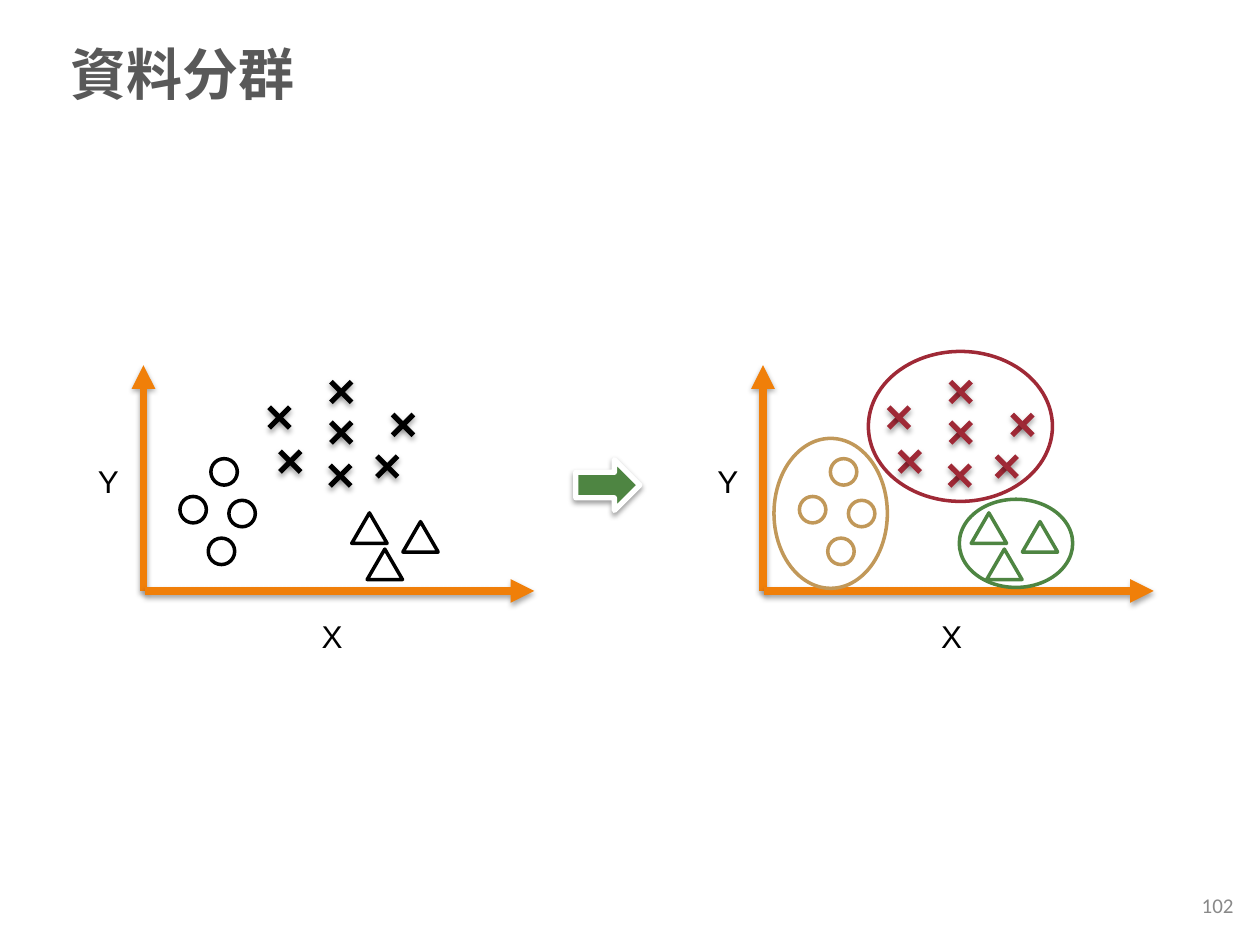
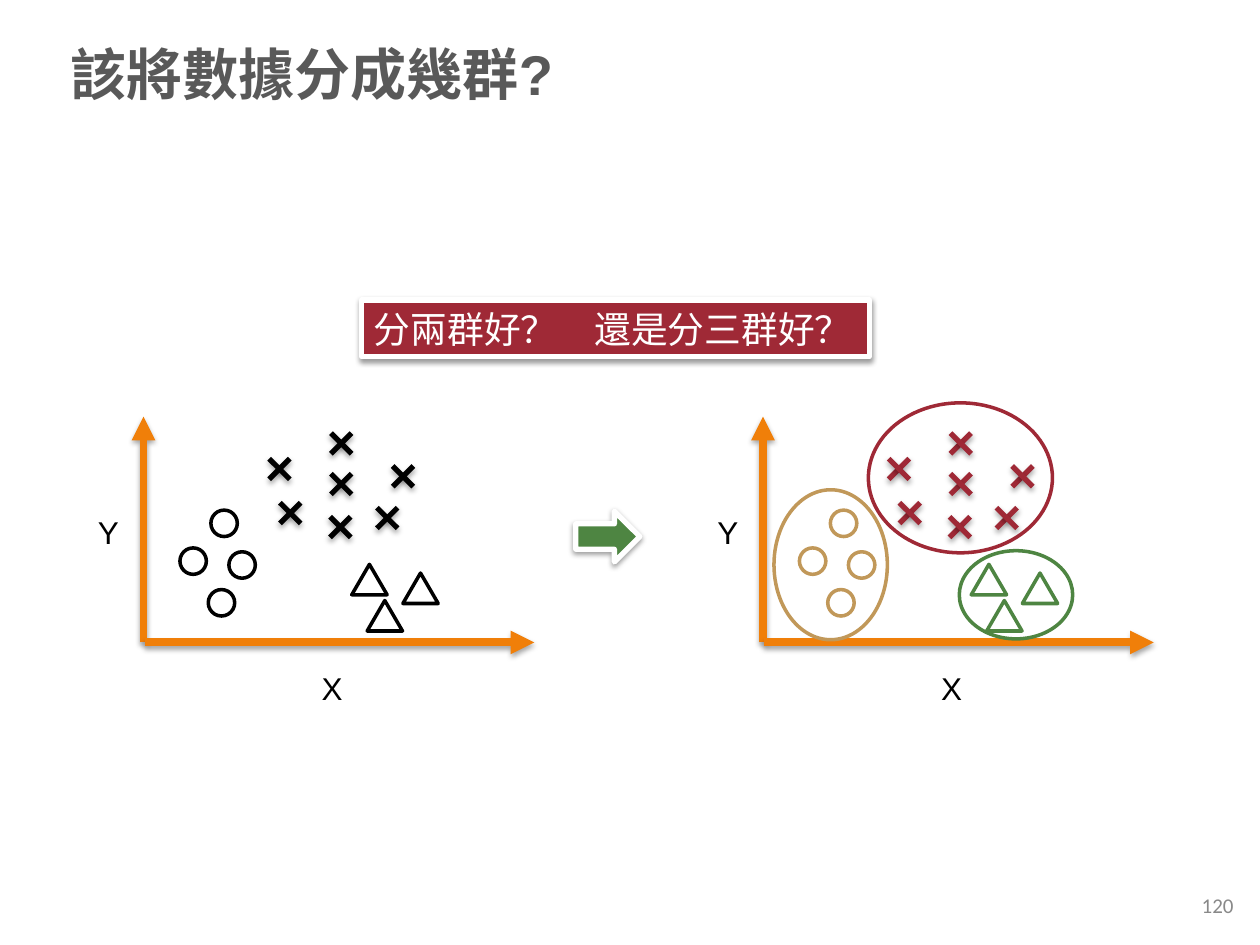
from lxml import etree
from pptx import Presentation
from pptx.dml.color import RGBColor
from pptx.enum import shapes, text
from pptx.oxml.ns import qn
from pptx.util import Pt

BLACK = RGBColor(0x00, 0x00, 0x00)
WHITE = RGBColor(0xFF, 0xFF, 0xFF)
TITLE_GREY = RGBColor(0x59, 0x59, 0x59)
NUMBER_GREY = RGBColor(0x89, 0x89, 0x89)
ORANGE = RGBColor(0xF0, 0x7F, 0x09)
RED = RGBColor(0x9F, 0x29, 0x36)
TAN = RGBColor(0xC1, 0x98, 0x59)
GREEN = RGBColor(0x4E, 0x85, 0x42)

LATIN_FONT = "Arial"
CJK_FONT = "Noto Sans CJK SC"
OVAL = shapes.MSO_SHAPE.OVAL
TRIANGLE = shapes.MSO_SHAPE.ISOSCELES_TRIANGLE

# Horizontal position of each plot's origin, in points
RAW_X, GROUPED_X = 82, 436

# Offsets from the plot origin, in points: left, top
CROSSES = [(133.4, -77), (107.1, -119.6), (71.8, -105), (78, -79.8),
           (106.6, -71.8), (107.1, -96.4), (142.4, -100.8)]
CIRCLES = [(20.8, -54), (48.8, -51.8), (38.5, -75.6), (37, -30.2)]
TRIANGLES = [(119, -44.6), (148.2, -39.6), (127.8, -23.9)]
CROSS_SIZE = 11.8
CIRCLE_SIZE = 15.1
TRIANGLE_SIZE = (20.2, 17.4)

# Outline of each group: left, top, width, height, colour
GROUP_OUTLINES = [(60.2, -136.9, 105.2, 85.7, RED),
                  (6.3, -87.2, 64.8, 85.7, TAN),
                  (112.2, -52.4, 64.8, 50.4, GREEN)]


def add_shadow(shape, opacity, distance):
    """Put a soft shadow below a shape or line whose outline is already set."""
    properties = shape._element.spPr
    effects = properties.find(qn("a:effectLst"))
    if effects is None:
        effects = etree.SubElement(properties, qn("a:effectLst"))
    shadow = etree.SubElement(effects, qn("a:outerShdw"), blurRad=str(Pt(3.1)),
                              dist=str(Pt(distance)), dir="5400000", rotWithShape="0")
    colour = etree.SubElement(shadow, qn("a:srgbClr"), val=str(BLACK))
    etree.SubElement(colour, qn("a:alpha"), val=str(opacity * 1000))


def write(frame, words, size, colour, font=LATIN_FONT, bold=False,
          align=text.PP_ALIGN.LEFT):
    frame.text = words
    paragraph = frame.paragraphs[0]
    paragraph.alignment = align
    run = paragraph.runs[0]
    run.font.size = Pt(size)
    run.font.bold = bold
    run.font.color.rgb = colour
    run.font.name = font
    etree.SubElement(run._r.get_or_add_rPr(), qn("a:ea"), typeface=CJK_FONT)


def add_label(slide, words, left, top, width, height, size, colour, **style):
    box = slide.shapes.add_textbox(Pt(left), Pt(top), Pt(width), Pt(height))
    write(box.text_frame, words, size, colour, **style)
    return box


def add_figure(slide, preset, left, top, width, height, line, weight, fill=None):
    figure = slide.shapes.add_shape(preset, Pt(left), Pt(top), Pt(width), Pt(height))
    figure.shadow.inherit = False
    if fill is None:
        figure.fill.background()
    else:
        figure.fill.solid()
        figure.fill.fore_color.rgb = fill
    figure.line.color.rgb = line
    figure.line.width = Pt(weight)
    return figure


def add_raised_figure(slide, preset, left, top, width, height, fill):
    """Add a filled figure with a white border and a shadow."""
    figure = add_figure(slide, preset, left, top, width, height, WHITE, 3, fill)
    add_shadow(figure, 38, 1.6)
    return figure


def add_line(owner, x1, y1, x2, y2, colour, weight):
    line = owner.shapes.add_connector(shapes.MSO_CONNECTOR.STRAIGHT,
                                      Pt(x1), Pt(y1), Pt(x2), Pt(y2))
    line.line.color.rgb = colour
    line.line.width = Pt(weight)
    add_shadow(line, 35, 1.8)
    return line


def add_axis(slide, x1, y1, x2, y2):
    axis = add_line(slide, x1, y1, x2, y2, ORANGE, 4.5)
    etree.SubElement(axis.line._get_or_add_ln(), qn("a:tailEnd"), type="triangle")


def add_cross(slide, left, top, colour):
    cross = slide.shapes.add_group_shape()
    right, bottom = left + CROSS_SIZE, top + CROSS_SIZE
    add_line(cross, right, top, left, bottom, colour, 3)
    add_line(cross, left, top, right, bottom, colour, 3)


def add_plot(slide, x, y, cross_colour, circle_colour, triangle_colour):
    """Draw the axes and data points of a plot with its origin at x, y."""
    add_axis(slide, x, y, x, y - 129)
    add_axis(slide, x + 0.7, y, x + 223.3, y)
    for name, left, top in (("Y", x - 33.1, y - 77.5), ("X", x + 94.7, y + 11.5)):
        label = add_label(slide, name, left, top, 26.4, 29, 18, BLACK)
        label.text_frame.word_wrap = False
    for dx, dy in CROSSES:
        add_cross(slide, x + dx, y + dy, cross_colour)
    for dx, dy in CIRCLES:
        add_figure(slide, OVAL, x + dx, y + dy, CIRCLE_SIZE, CIRCLE_SIZE,
                   circle_colour, 2)
    for dx, dy in TRIANGLES:
        add_figure(slide, TRIANGLE, x + dx, y + dy, *TRIANGLE_SIZE,
                   triangle_colour, 2, WHITE)


def add_grouping(slide, y):
    """Draw raw data, an arrow and the grouped data on a common baseline y."""
    add_plot(slide, RAW_X, y, BLACK, BLACK, BLACK)
    add_raised_figure(slide, shapes.MSO_SHAPE.RIGHT_ARROW, 329, y - 75, 36.6, 29, GREEN)
    add_plot(slide, GROUPED_X, y, RED, TAN, GREEN)
    for dx, dy, width, height, colour in GROUP_OUTLINES:
        add_figure(slide, OVAL, GROUPED_X + dx, y + dy, width, height, colour, 2)


def add_titled_slide(deck, words, number):
    slide = deck.slides.add_slide(deck.slide_layouts[5])
    title = slide.shapes.title
    title.left, title.top, title.width, title.height = Pt(33), Pt(20), Pt(648), Pt(44)
    title.text_frame.auto_size = text.MSO_AUTO_SIZE.NONE
    title.text_frame.vertical_anchor = text.MSO_ANCHOR.MIDDLE
    write(title.text_frame, words, 32, TITLE_GREY, bold=True)
    page = add_label(slide, number, 544, 502.6, 168, 28.8, 12, NUMBER_GREY,
                     font="Calibri", align=text.PP_ALIGN.RIGHT)
    page.text_frame.vertical_anchor = text.MSO_ANCHOR.MIDDLE
    return slide


def add_question(slide, words):
    banner = add_raised_figure(slide, shapes.MSO_SHAPE.RECTANGLE,
                               206.6, 171.4, 290.2, 32.4, RED)
    banner.text_frame.word_wrap = False
    write(banner.text_frame, words, 21, WHITE, font=CJK_FONT)


def main():
    deck = Presentation()
    deck.slide_width, deck.slide_height = Pt(720), Pt(540)

    grouping = add_titled_slide(deck, "資料分群", "102")
    add_grouping(grouping, 337.7)

    group_count = add_titled_slide(deck, "該將數據分成幾群?", "120")
    add_question(group_count, "分兩群好？　還是分三群好？")
    add_grouping(group_count, 367.1)

    deck.save("out.pptx")


if __name__ == "__main__":
    main()
